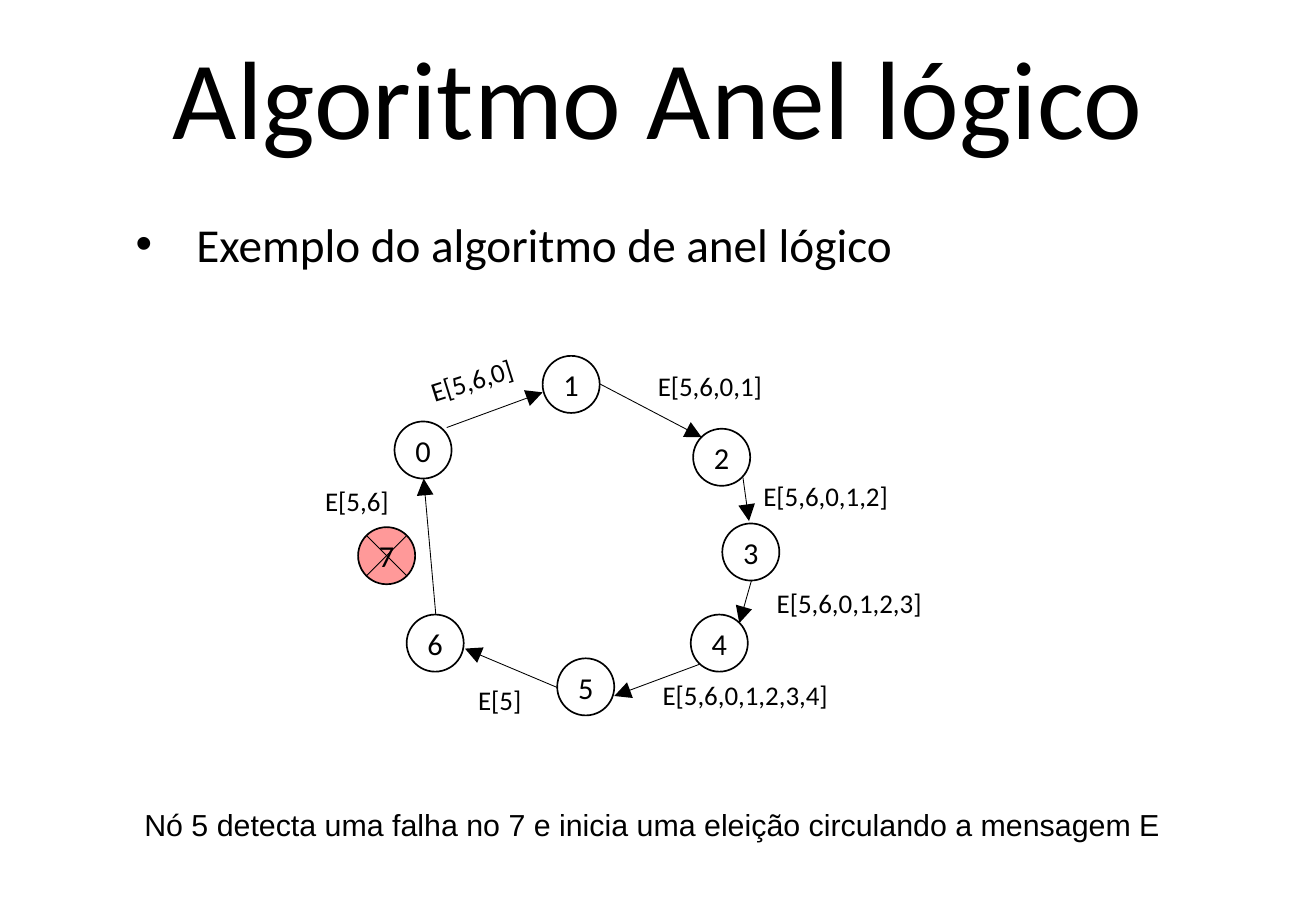
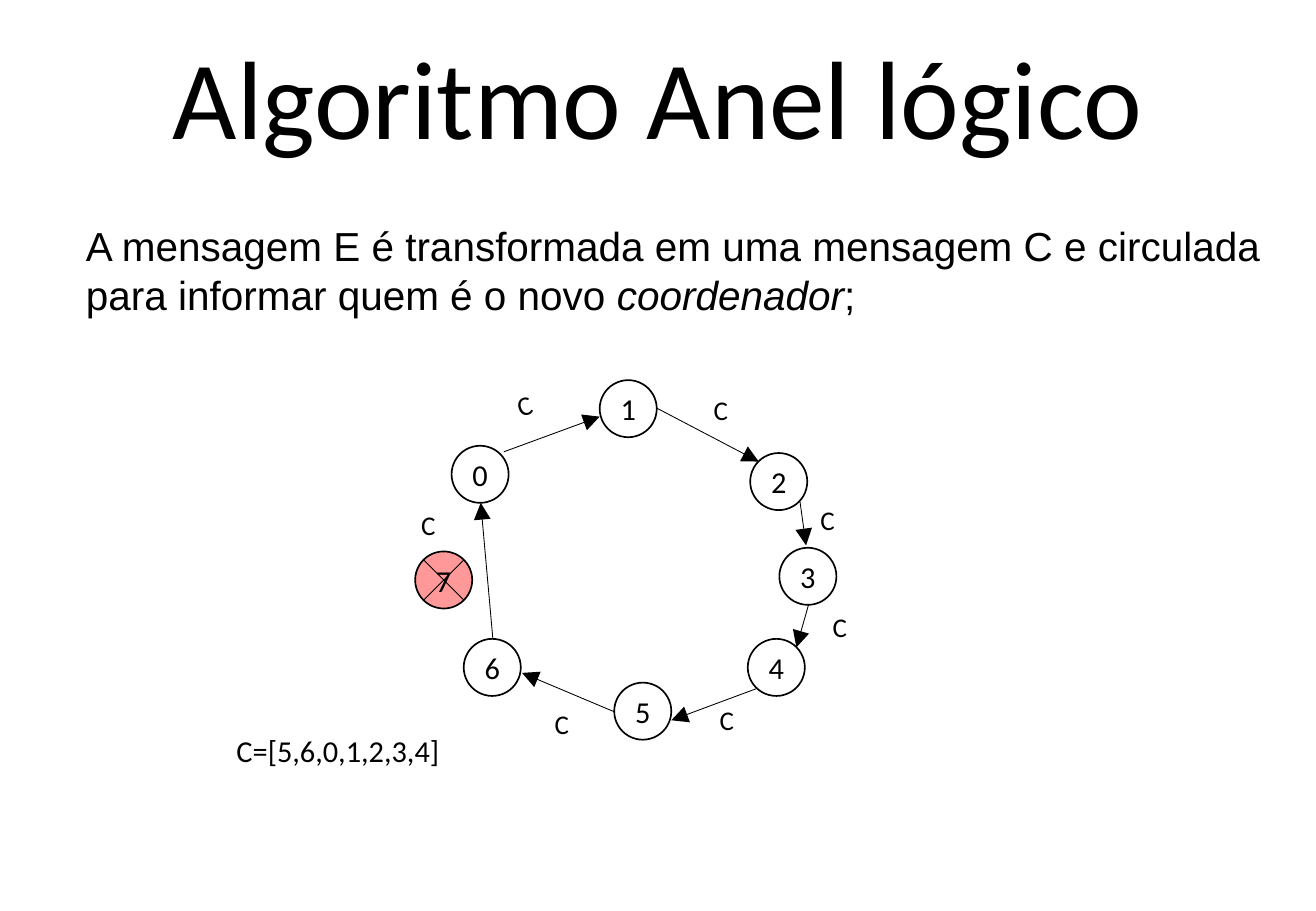
from lxml import etree
from pptx import Presentation
from pptx.dml.color import RGBColor
from pptx.enum.shapes import MSO_CONNECTOR, MSO_SHAPE
from pptx.enum.text import MSO_ANCHOR, PP_ALIGN
from pptx.oxml.ns import qn
from pptx.util import Inches, Pt

STRAIGHT = MSO_CONNECTOR.STRAIGHT
OVAL = MSO_SHAPE.OVAL
MIDDLE = MSO_ANCHOR.MIDDLE
CENTER = PP_ALIGN.CENTER

COLORS = {"ink": "000000", "failed": "FF9999"}
INK = RGBColor.from_string(COLORS["ink"])
FAILED = RGBColor.from_string(COLORS["failed"])
BODY_FONT = "Arial"
RING_FONT = "Calibri"

NODE_SIZE = 0.47
FAILED_NODE = "7"
CROSS_INSET = 0.07
NODES = {
    "0": (3.25, 3.47),
    "1": (4.47, 2.93),
    "2": (5.71, 3.53),
    "3": (5.95, 4.31),
    "4": (5.69, 5.06),
    "5": (4.59, 5.42),
    "6": (3.35, 5.06),
    "7": (2.95, 4.34),
}
ARROWS = [
    (3.68, 3.52, 4.47, 3.23),
    (4.94, 3.16, 5.78, 3.6),
    (6.12, 3.93, 6.17, 4.29),
    (6.19, 4.78, 6.09, 5.13),
    (5.76, 5.47, 5.06, 5.73),
    (4.59, 5.66, 3.83, 5.34),
    (3.59, 5.06, 3.49, 3.94),
]
LABEL_TOPS = [2.94, 2.99, 3.9, 4.78, 5.54, 5.58, 3.94]
LABEL_TILTS = [-17.6, 0, 0, 0, 0, 0, 0]

SLIDES = [
    {
        "ring_shift": (0, 0),
        "labels": [
            ("E[5,6,0]", 3.44, 0.92),
            ("E[5,6,0,1]", 5.32, 1.2),
            ("E[5,6,0,1,2]", 6.19, 1.4),
            ("E[5,6,0,1,2,3]", 6.3, 1.6),
            ("E[5,6,0,1,2,3,4]", 5.36, 1.8),
            ("E[5]", 3.84, 0.7),
            ("E[5,6]", 2.58, 0.85),
        ],
    },
    {
        "ring_shift": (0.47, 0.2),
        "labels": [("C", left, 0.4) for left in (4.16, 5.78, 6.66, 6.76, 5.83, 4.47, 3.37)],
    },
]


def add_text(page, place, text, size, font, wrap=True):
    box = page.shapes.add_textbox(*[Inches(length) for length in place])
    box.text_frame.word_wrap = wrap
    para = box.text_frame.paragraphs[0]
    para.text = text
    para.font.size = Pt(size)
    para.font.name = font
    para.font.color.rgb = INK
    return box


def add_line(page, ends, arrow=False):
    line = page.shapes.add_connector(STRAIGHT, *[Inches(length) for length in ends])
    line.line.color.rgb = INK
    line.line.width = Pt(0.5)
    properties = line._element.spPr
    if arrow:
        outline = properties.find(qn("a:ln"))
        etree.SubElement(outline, qn("a:tailEnd"), type="triangle", w="lg", len="lg")
    etree.SubElement(properties, qn("a:effectLst"))


deck = Presentation()
deck.slide_width = Inches(10.84)
deck.slide_height = Inches(7.5)
pages = []

for content in SLIDES:
    page = deck.slides.add_slide(deck.slide_layouts[6])
    pages.append(page)
    shift_x, shift_y = content["ring_shift"]

    title = add_text(page, (0, 0.13, 10.84, 1.45), "Algoritmo Anel lógico", 66, RING_FONT)
    title.text_frame.vertical_anchor = MIDDLE
    title.text_frame.paragraphs[0].alignment = CENTER
    title.text_frame.paragraphs[0].line_spacing = 0.9

    for name, (x, y) in NODES.items():
        left, top = x + shift_x, y + shift_y
        node = page.shapes.add_shape(
            OVAL, Inches(left), Inches(top), Inches(NODE_SIZE), Inches(NODE_SIZE)
        )
        node.shadow.inherit = False
        node.line.color.rgb = INK
        node.line.width = Pt(1)
        node.text_frame.word_wrap = False
        node.text_frame.vertical_anchor = MIDDLE
        para = node.text_frame.paragraphs[0]
        para.text = name
        para.alignment = CENTER
        para.font.size = Pt(18)
        para.font.name = RING_FONT
        para.font.color.rgb = INK
        if name == FAILED_NODE:
            node.fill.solid()
            node.fill.fore_color.rgb = FAILED
            near, far = CROSS_INSET, NODE_SIZE - CROSS_INSET
            for start, end in ((far, near), (near, far)):
                add_line(page, (left + near, top + start, left + far, top + end))
        else:
            node.fill.background()

    for x1, y1, x2, y2 in ARROWS:
        add_line(page, (x1 + shift_x, y1 + shift_y, x2 + shift_x, y2 + shift_y), arrow=True)

    for (text, left, width), top, tilt in zip(content["labels"], LABEL_TOPS, LABEL_TILTS):
        label = add_text(page, (left, top + shift_y, width, 0.37), text, 16, RING_FONT, wrap=False)
        label.rotation = tilt

election, result = pages

example = add_text(
    election, (1.02, 1.72, 9.63, 0.57), "Exemplo do algoritmo de anel lógico", 28, RING_FONT
)
para = example.text_frame.paragraphs[0]
para.space_before = para.space_after = Pt(6)
properties = para._p.get_or_add_pPr()
properties.set("marL", str(Inches(0.5)))
properties.set("indent", str(Inches(-0.5)))
defaults = properties.find(qn("a:defRPr"))
for tag, attributes in (
    ("a:buSzPct", {"val": "100000"}),
    ("a:buFont", {"typeface": BODY_FONT}),
    ("a:buChar", {"char": "•"}),
):
    defaults.addprevious(etree.Element(qn(tag), attributes))
add_text(
    election,
    (1.09, 6.59, 9.21, 0.4),
    "Nó 5 detecta uma falha no 7 e inicia uma eleição circulando a mensagem E",
    18,
    BODY_FONT,
)

summary = add_text(
    result,
    (0.61, 1.77, 9.92, 0.9),
    "A mensagem E é transformada em uma mensagem C e circulada para informar quem é o novo ",
    24,
    BODY_FONT,
)
para = summary.text_frame.paragraphs[0]
for text, italic in (("coordenador", True), (";", False)):
    span = para.add_run()
    span.text = text
    span.font.italic = italic
add_text(result, (1.85, 5.98, 2.1, 0.4), "C=[5,6,0,1,2,3,4]", 18, RING_FONT, wrap=False)

deck.save("out.pptx")
